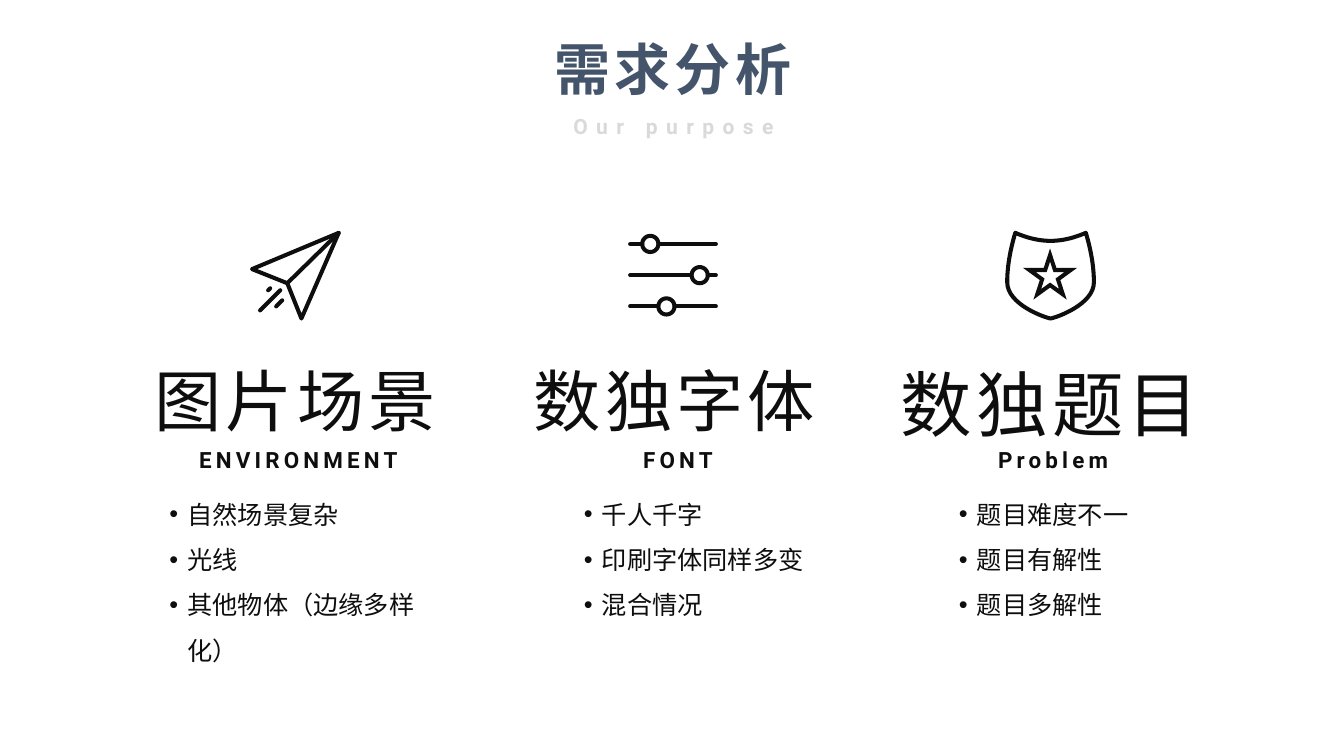
from math import cos, pi, sin

from lxml import etree
from pptx import Presentation
from pptx import util as u
from pptx.dml.color import RGBColor
from pptx.enum import shapes as s, text as t
from pptx.oxml import ns

INK = "0E0E0E"
THICK = 2.9


def color(code):
    """Turn a hex string into a colour."""
    return RGBColor.from_string(code)


def place(shape, left, top, width, height):
    """Move and size a shape, in inches."""
    shape.left, shape.top = u.Inches(left), u.Inches(top)
    shape.width, shape.height = u.Inches(width), u.Inches(height)


def write(shape, *lines, size=16, ink=INK, bold=False, track=0, align="LEFT",
          space=1.0, wrap=False, anchor="TOP", pad=(0.1, 0.05, 0.1, 0.05),
          bullet=False):
    """Fill a shape with formatted paragraphs."""
    frame = shape.text_frame
    frame.word_wrap = wrap
    frame.auto_size = t.MSO_AUTO_SIZE.NONE
    frame.vertical_anchor = getattr(t.MSO_ANCHOR, anchor)
    (frame.margin_left, frame.margin_top, frame.margin_right,
     frame.margin_bottom) = map(u.Inches, pad)
    for n, line in enumerate(lines):
        para = frame.add_paragraph() if n else frame.paragraphs[0]
        para.alignment = getattr(t.PP_ALIGN, align)
        para.line_spacing = space
        para.space_before = para.space_after = u.Pt(0)
        run = para.add_run()
        run.text = line
        font = run.font
        font.name, font.size, font.bold = "Roboto", u.Pt(size), bold
        font.color.rgb = color(ink)
        if track:
            font._element.set("spc", str(track * 100))
        props = para._p.get_or_add_pPr()
        indent = u.Inches(0.18) if bullet else 0
        props.set("marL", str(indent))
        props.set("indent", str(-indent))
        if bullet:
            face = etree.SubElement(props, ns.qn("a:buFont"))
            face.set("typeface", "Arial")
            etree.SubElement(props, ns.qn("a:buChar")).set("char", "•")
        else:
            etree.SubElement(props, ns.qn("a:buNone"))


def label(slide, words, box, **fmt):
    """Add a centred text box."""
    shape = slide.shapes.add_textbox(*map(u.Inches, box))
    write(shape, words, align="CENTER", **fmt)


def stroke(shape, join="round"):
    """Leave a shape unfilled, with a dark outline."""
    shape.shadow.inherit = False
    shape.fill.background()
    shape.line.color.rgb = color(INK)
    shape.line.width = u.Pt(THICK)
    line = shape.line._get_or_add_ln()
    line.set("cap", "rnd")
    corner = etree.SubElement(line, ns.qn("a:" + join))
    if join == "miter":
        corner.set("lim", "800000")


def icon(slide, rings, lines=()):
    """Draw closed rings and open lines as one outline."""
    parts = [(ring, True) for ring in rings] + [(row, False) for row in lines]
    build = None
    for points, shut in parts:
        first, *rest = [(u.Inches(x), u.Inches(y)) for x, y in points]
        if build is None:
            build = slide.shapes.build_freeform(*first)
        else:
            build.move_to(*first)
        build.add_line_segments(rest, close=shut)
    stroke(build.convert_to_shape())


def curve(a, b, c, d, steps=16):
    """List points along a cubic curve."""
    return [tuple((1 - k) ** 3 * p + 3 * k * (1 - k) ** 2 * q
                  + 3 * k * k * (1 - k) * r + k ** 3 * v
                  for p, q, r, v in zip(a, b, c, d))
            for k in (n / steps for n in range(steps + 1))]


def circle(x, y, radius, steps=40):
    """List points around a circle."""
    return [(x + radius * cos(2 * pi * n / steps),
             y + radius * sin(2 * pi * n / steps)) for n in range(steps)]


def plane(slide):
    """Draw the paper plane."""
    tip, fold = (3.36, 2.31), (2.85, 2.81)
    icon(slide, [[tip, (2.5, 2.67), fold, (2.99, 3.16)]],
         [[tip, fold], [(2.58, 3.08), (2.78, 2.88)],
          [(2.74, 3.04), (2.8, 2.98)], [(2.66, 2.88), (2.68, 2.86)]])


def sliders(slide):
    """Draw three lines with knobs."""
    radius = 0.08
    knobs = [(x, 2.42 + 0.31 * row) for row, x in enumerate((6.45, 6.94, 6.61))]
    icon(slide, [circle(x, y, radius) for x, y in knobs],
         [[(end, y), (x + side * radius, y)] for x, y in knobs
          for end, side in ((6.25, -1), (7.1, 1))])


def shield(slide):
    """Draw the shield and its star."""
    mid = 10.42
    half = (curve((mid, 2.39), (10.27, 2.39), (10.14, 2.34), (10.07, 2.31))
            + curve((10.07, 2.31), (10.05, 2.38), (9.99, 2.58), (9.99, 2.8))
            + curve((9.99, 2.8), (9.99, 3.02), (10.36, 3.15), (mid, 3.16)))
    icon(slide, [half + [(2 * mid - x, y) for x, y in half[-2:0:-1]]])
    star = slide.shapes.add_shape(s.MSO_SHAPE.STAR_5_POINT,
                                  *map(u.Inches, (10.21, 2.53, 0.41, 0.39)))
    stroke(star, "miter")


def main():
    """Build the slide and save it."""
    deck = Presentation()
    deck.slide_width, deck.slide_height = u.Inches(13.33), u.Inches(7.5)
    slide = deck.slides.add_slide(deck.slide_layouts[4])
    holds = slide.placeholders
    head = {"align": "CENTER", "anchor": "MIDDLE", "space": u.Pt(37),
            "bold": True}
    place(slide.shapes.title, 5.37, 0.34, 2.61, 0.72)
    write(slide.shapes.title, "需求分析", size=40, ink="44546A", track=3,
          pad=(0.1, 0.15, 0.1, 0.05), **head)
    place(holds[3], 5.6, 0.9, 2.16, 0.44)
    write(holds[3], "Our purpose", size=15, ink="D9D9D9", track=6,
          pad=(0, 0, 0, 0), **head)

    columns = (
        (1, "图片场景", 48, (1.4, 3.06), "ENVIRONMENT", (1.8, 2.32),
         (1.58, 3.06), ("自然场景复杂", "光线", "其他物体（边缘多样化）")),
        (2, "数独字体", 48, (5.16, 3.06), "FONT", (6.24, 0.97),
         (5.69, 2.62), ("千人千字", "印刷字体同样多变", "混合情况")),
        (4, "数独题目", 51, (8.8, 3.23), "Problem", (9.75, 1.39),
         (9.41, 2.62), ("题目难度不一", "题目有解性", "题目多解性")),
    )
    for key, name, size, wide, sub, span, area, items in columns:
        label(slide, name, (wide[0], 3.52, wide[1], 0.91), size=size, track=3)
        label(slide, sub, (span[0], 4.38, span[1], 0.37), bold=True, track=3)
        place(holds[key], area[0], 4.75, area[1], 1.41)
        write(holds[key], *items, size=18, space=1.5, wrap=True, bullet=True)

    plane(slide)
    sliders(slide)
    shield(slide)
    deck.save("out.pptx")


if __name__ == "__main__":
    main()
